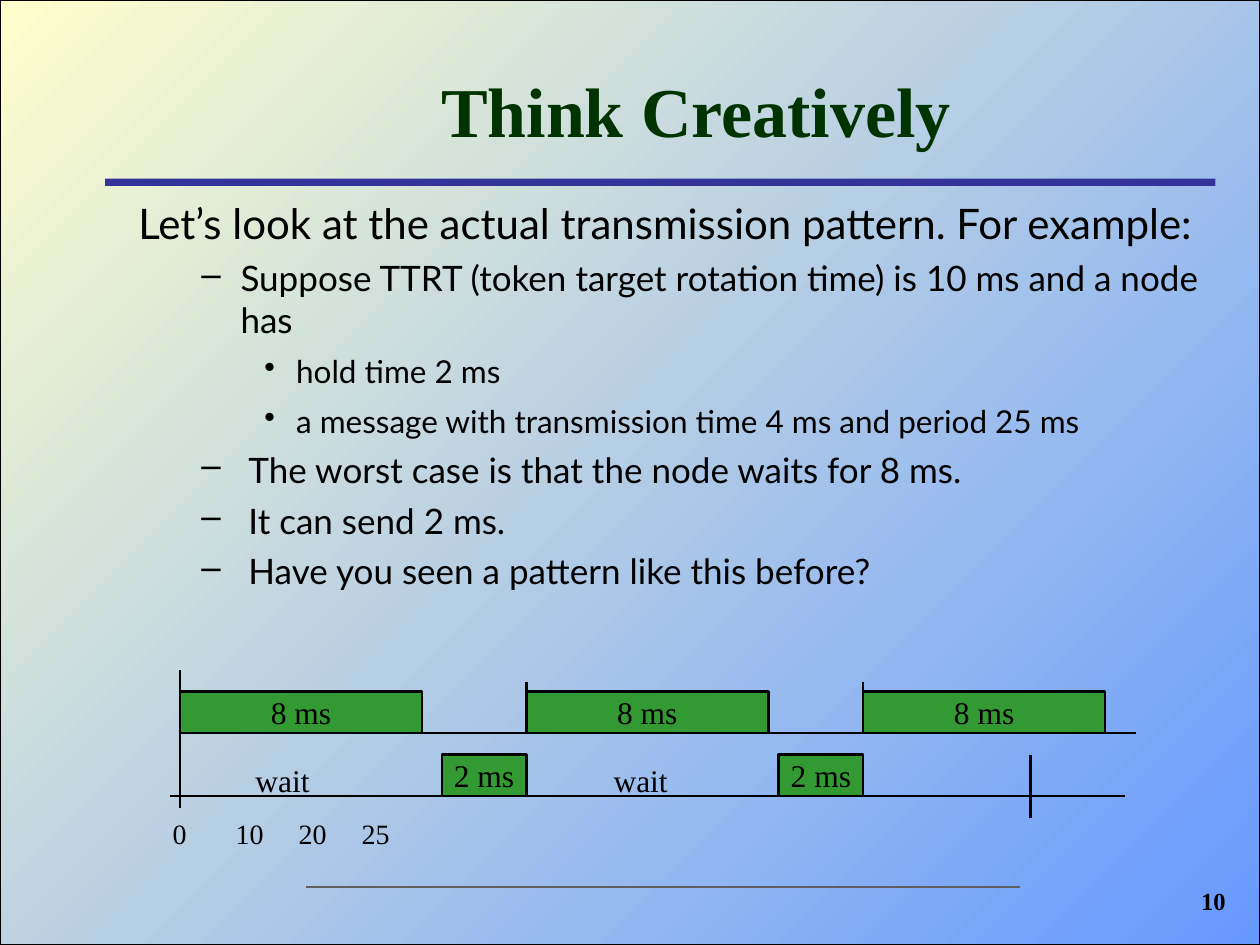
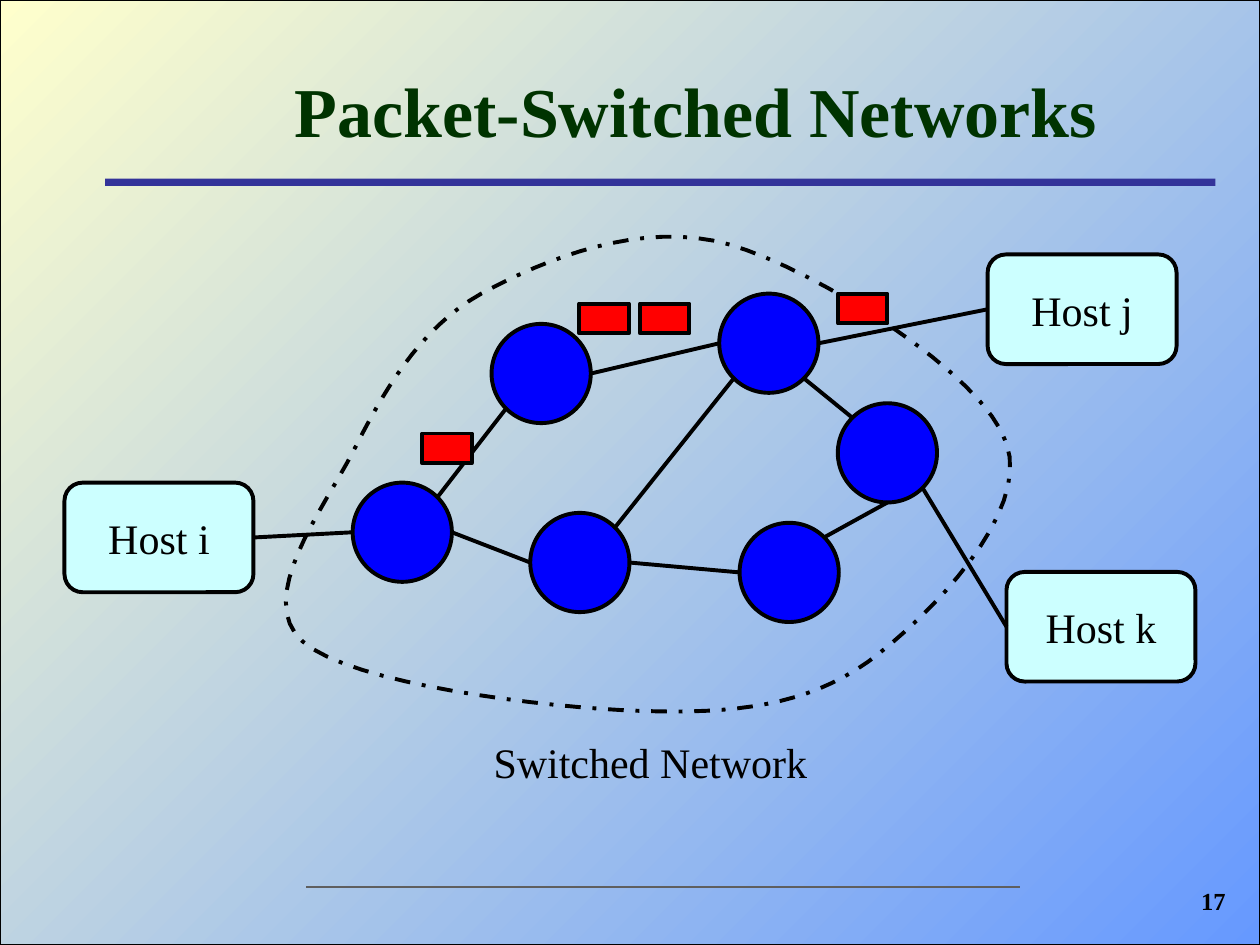
from lxml import etree
from pptx import Presentation
from pptx import util as u
from pptx.dml import color as dml
from pptx.enum import dml as line_kinds, shapes, text
from pptx.oxml import ns

Cm, Pt = u.Cm, u.Pt
SERIF, SANS = "Times New Roman", "Lato"
BLACK, GREEN, BLUE, RED = "000000", "339933", "0000FF", "FF0000"
CREAM, SKY, PALE = "FFFFCC", "6699FF", "CCFFFF"
RULE, GREY, DARK = "333399", "5F5F5F", "003300"
BOX = shapes.MSO_SHAPE.RECTANGLE
ROUND = shapes.MSO_SHAPE.ROUNDED_RECTANGLE
OVAL = shapes.MSO_SHAPE.OVAL
LEFT, CENTER, RIGHT = text.PP_ALIGN.LEFT, text.PP_ALIGN.CENTER, text.PP_ALIGN.RIGHT
TOP, LEFT_SIDE, RIGHT_SIDE = text.MSO_ANCHOR.TOP, 1, 3
MIDDLE = text.MSO_ANCHOR.MIDDLE


def rgb(code):
    return dml.RGBColor.from_string(code)


def write(frame, words, size=18, font=SERIF, color=BLACK, bold=False, align=LEFT,
          level=0, left=0, hang=0, bullet=None, before=0, spacing=None, tabs=()):
    """Fill the empty first paragraph of the frame, or add one after the last."""
    para = frame.paragraphs[0]
    if para.runs:
        para = frame.add_paragraph()
        para.space_before = Pt(before)
    para.level, para.alignment = level, align
    props = para._p.get_or_add_pPr()
    props.set("marL", str(Cm(left)))
    props.set("indent", str(-Cm(hang)))
    if bullet:
        etree.SubElement(props, ns.qn("a:buChar"), char=bullet)
    if tabs:
        stops = etree.SubElement(props, ns.qn("a:tabLst"))
        for stop in tabs:
            etree.SubElement(stops, ns.qn("a:tab"), pos=str(Cm(stop)), algn="l")
    if spacing:
        para.line_spacing = spacing
    run = para.add_run()
    run.text = words
    run.font.size, run.font.name, run.font.bold = Pt(size), font, bold
    run.font.color.rgb = rgb(color)


def label(slide, words, x, y, w, h, wrap=True, **style):
    frame = slide.shapes.add_textbox(Cm(x), Cm(y), Cm(w), Cm(h)).text_frame
    frame.word_wrap = wrap
    write(frame, words, **style)
    return frame


def block(slide, kind, x, y, w, h, fill=None, line=BLACK, width=1.5, words="", size=18):
    shape = slide.shapes.add_shape(kind, Cm(x), Cm(y), Cm(w), Cm(h))
    shape.shadow.inherit = False
    if fill:
        shape.fill.solid()
        shape.fill.fore_color.rgb = rgb(fill)
    if line:
        shape.line.color.rgb = rgb(line)
        shape.line.width = Pt(width)
    else:
        shape.line.fill.background()
    if words:
        frame = shape.text_frame
        frame.word_wrap = False
        frame.vertical_anchor = MIDDLE
        write(frame, words, size=size, align=CENTER)
    return shape


def wire(slide, start, end, color=BLACK, width=1.5):
    """Draw a straight line; each end is a point or a (shape, side) pair."""
    ends = [p if isinstance(p[0], (int, float)) else (0, 0) for p in (start, end)]
    link = slide.shapes.add_connector(
        shapes.MSO_CONNECTOR.STRAIGHT, *(Cm(v) for p in ends for v in p))
    for point, join in ((start, link.begin_connect), (end, link.end_connect)):
        if not isinstance(point[0], (int, float)):
            join(*point)
    link.line.color.rgb = rgb(color)
    link.line.width = Pt(width)
    etree.SubElement(link._element.spPr, ns.qn("a:effectLst"))


def base(deck, title, number):
    """Add a slide with the shared backdrop, title, rules and page number."""
    slide = deck.slides.add_slide(deck.slide_layouts[5])
    back = block(slide, BOX, 0, 0, 25.4, 19.05, width=0.75)
    back.fill.gradient()
    back.fill.gradient_angle = 315
    for stop, shade in zip(back.fill.gradient_stops, (CREAM, SKY)):
        stop.color.rgb = rgb(shade)
    slide.shapes.element.insert(2, back.element)
    block(slide, BOX, 2.12, 3.6, 22.38, 0.15, fill=RULE, line=None)
    wire(slide, (6.17, 17.88), (20.57, 17.88), color=GREY)

    head = slide.shapes.title
    head.left, head.top, head.width, head.height = Cm(3.5), Cm(0.84), Cm(21.06), Cm(2.74)
    head.text_frame.vertical_anchor = MIDDLE
    head.text_frame.auto_size = text.MSO_AUTO_SIZE.NONE
    write(head.text_frame, title, size=40, color=DARK, bold=True, align=CENTER)
    label(slide, str(number), 22.22, 17.73, 2.74, 1.27, size=14, bold=True, align=RIGHT)
    return slide


def outline(slide, x, y, w, h):
    dash = dict(size=20, level=1, left=2.06, hang=0.79, bullet="–", before=5)
    wide = dict(dash, left=2.22, hang=0.95)
    dot = dict(size=18, level=2, left=3.18, hang=0.64, bullet="•", before=4.5, spacing=1.1)
    frame = label(slide, "Let’s look at the actual transmission pattern. For example:",
                  x, y, w, h, size=24, font=SANS, left=0.95, hang=0.95)
    for words, style in (
        ("Suppose TTRT (token target rotation time) is 10 ms and a node has", dash),
        ("hold time 2 ms", dot),
        ("a message with transmission time 4 ms and period 25 ms", dot),
        ("The worst case is that the node waits for 8 ms.", wide),
        ("It can send 2 ms.", wide),
        ("Have you seen a pattern like this before?", wide),
    ):
        write(frame, words, font=SANS, **style)


def timeline(slide, x, y):
    """Draw the rotations on the upper axis and the sending times on the lower."""
    upper, lower, tall, send = y + 1.27, y + 2.54, 0.84, 1.7
    starts = [x, x + 6.98, x + 13.77]
    wire(slide, (x, upper), (x + 19.28, upper))
    wire(slide, (x - 0.2, lower), (x + 19.05, lower))
    for start in starts:
        block(slide, BOX, start, upper - tall, 4.88, tall, fill=GREEN, words="8 ms")
    for start in starts[1:]:
        wire(slide, (start, y + 0.23), (start, upper))
        block(slide, BOX, start - send, lower - tall, send, tall, fill=GREEN, words="2 ms")
    wire(slide, (x, y), (x, y + 2.77))
    wire(slide, (x + 17.15, lower - tall), (x + 17.15, y + 2.97))
    for left in (1.27, 8.49):
        label(slide, "wait", x + left, y + 1.7, 2.74, 1.02)
    label(slide, "0\t10\t20\t25", x - 0.4, y + 2.82, 18.62, 1.63,
          size=16, tabs=(6.74, 13.64, 17.16))


def curve(knots, steps=16):
    """Give the points along joined cubic curves: a start, then three knots each."""
    for i in range(0, len(knots) - 1, 3):
        for step in range(steps):
            t = step / steps
            parts = ((1 - t) ** 3, 3 * t * (1 - t) ** 2, 3 * t * t * (1 - t), t ** 3)
            yield tuple(sum(k * p[axis] for k, p in zip(parts, knots[i:i + 4]))
                        for axis in (0, 1))


def cloud(slide, x, y):
    knots = [
        (8.4, 1.5), (7.13, 2.21), (6.4, 3.53), (5.81, 4.7),
        (5.2, 5.87), (3.83, 7.65), (4.8, 8.51),
        (5.76, 9.37), (9.7, 9.85), (11.6, 9.91),
        (13.51, 9.98), (14.96, 9.8), (16.2, 8.92),
        (17.45, 8), (19.48, 5.92), (18.99, 4.52),
        (18.54, 3.12), (15.16, 1.02), (13.41, 0.51),
        (11.63, 0), (9.67, 0.81), (8.4, 1.5),
    ]
    spots = [(Cm(x + a), Cm(y + b)) for a, b in curve(knots)]
    pen = slide.shapes.build_freeform(*spots[0])
    pen.add_line_segments(spots[1:], close=True)
    edge = pen.convert_to_shape()
    edge.shadow.inherit = False
    edge.fill.background()
    edge.line.color.rgb = rgb(BLACK)
    edge.line.width = Pt(2.25)
    edge.line.dash_style = line_kinds.MSO_LINE.DASH_DOT


def network(slide, x, y):
    """Draw hosts, switches, links, cloud edge and packets."""
    thick, size = 2.25, 2
    diag = 0.71
    sides = {"l": (-1, 0), "r": (1, 0), "b": (0, 1), "tl": (-diag, -diag),
             "tr": (diag, -diag), "bl": (-diag, diag), "br": (diag, diag)}
    hosts = {
        name: block(slide, ROUND, x + a, y + b, 3.81, 2.21, fill=PALE, width=thick,
                    words="Host " + name, size=24)
        for name, a, b in (("i", 0, 5.31), ("j", 18.61, 0.71), ("k", 18.99, 7.11))
    }
    nodes = {"A": (5.81, 5.31), "B": (8.61, 2.11), "C": (13.2, 1.5),
             "D": (13.61, 6.12), "E": (9.39, 5.92), "F": (15.59, 3.71)}
    for a, b in nodes.values():
        block(slide, OVAL, x + a, y + b, size, size, fill=BLUE, width=thick)

    def rim(node, side):
        return tuple(o + p + size / 2 * (1 + s)
                     for o, p, s in zip((x, y), nodes[node], sides[side]))

    for start, end in (
        ((hosts["i"], RIGHT_SIDE), rim("A", "l")),
        (rim("A", "tr"), rim("B", "bl")),
        (rim("A", "r"), rim("E", "l")),
        (rim("E", "r"), rim("D", "l")),
        (rim("D", "tr"), rim("F", "b")),
        (rim("B", "r"), rim("C", "l")),
        (rim("C", "br"), rim("F", "tl")),
        (rim("E", "tr"), rim("C", "bl")),
        (rim("C", "r"), (hosts["j"], LEFT_SIDE)),
        (rim("F", "br"), (hosts["k"], LEFT_SIDE)),
    ):
        wire(slide, start, end, width=thick)
    cloud(slide, x, y)
    label(slide, "Switched Network", x + 8.4, y + 10.31, 6.83, 1.27, wrap=False, size=24)
    for a, b in ((10.38, 1.7), (11.6, 1.7), (7.21, 4.32), (15.59, 1.5)):
        block(slide, BOX, x + a, y + b, 1, 0.6, fill=RED, width=thick)


def main():
    deck = Presentation()
    deck.slide_width, deck.slide_height = Cm(25.4), Cm(19.05)
    slide = base(deck, "Think Creatively", 10)
    outline(slide, 2.54, 3.86, 22.22, 9.35)
    timeline(slide, 3.63, 13.51)
    network(base(deck, "Packet-Switched Networks", 17), 1.3, 4.42)
    deck.save("out.pptx")


if __name__ == "__main__":
    main()
